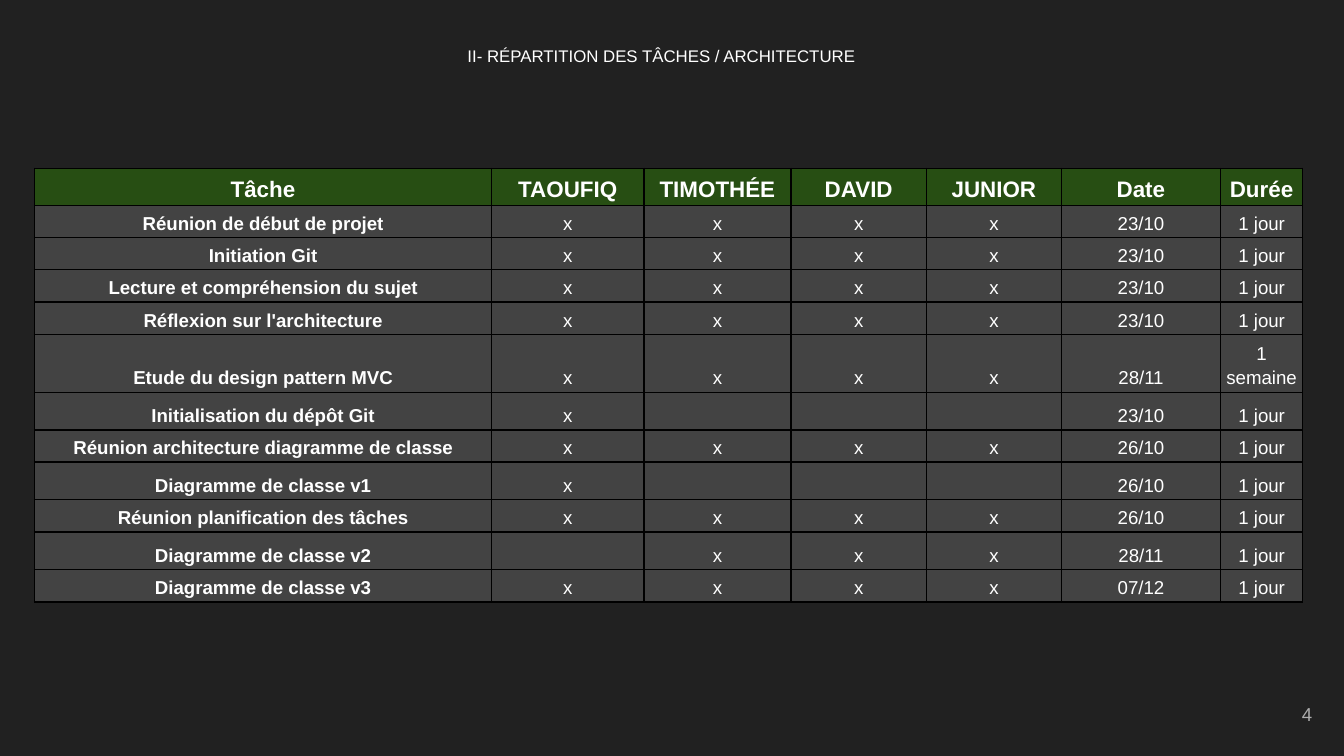
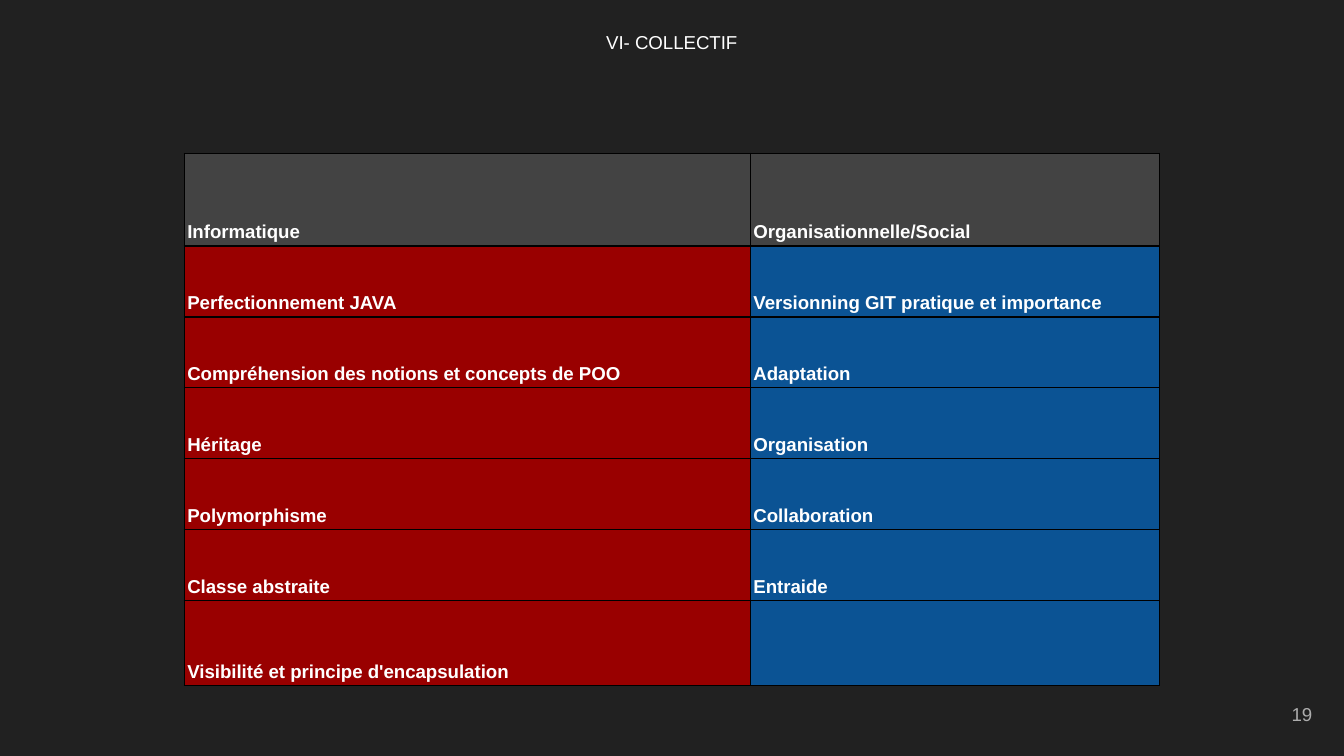
from lxml import etree
from pptx import Presentation
from pptx import util as u
from pptx.dml.color import RGBColor
from pptx.enum import text
from pptx.oxml.ns import qn

COLORS = {
    "background": "212121", "white": "FFFFFF", "number": "ADADAD", "border": "000000",
    "green": "274E13", "gray": "434343", "red": "990000", "blue": "0B5394",
}
FONT = "Arial"
LINE_SPACING = 1.15
CELL_MARGIN = 0.06
TITLE_WIDTH = 23.67
NUMBER_RIGHT = 25.05

TASK_HEADER = ["Tâche", "TAOUFIQ", "TIMOTHÉE", "DAVID", "JUNIOR", "Date", "Durée"]
TASK_WIDTHS = [8.64, 2.88, 2.78, 2.56, 2.55, 3.01, 1.55]
# Each mark stands for one member: x takes part, . does not
TASKS = [
    ("Réunion de début de projet", "xxxx", "23/10", "1 jour"),
    ("Initiation Git", "xxxx", "23/10", "1 jour"),
    ("Lecture et compréhension du sujet", "xxxx", "23/10", "1 jour"),
    ("Réflexion sur l'architecture", "xxxx", "23/10", "1 jour"),
    ("Etude du design pattern MVC", "xxxx", "28/11", "1 semaine"),
    ("Initialisation du dépôt Git", "x...", "23/10", "1 jour"),
    ("Réunion architecture diagramme de classe", "xxxx", "26/10", "1 jour"),
    ("Diagramme de classe v1", "x...", "26/10", "1 jour"),
    ("Réunion planification des tâches", "xxxx", "26/10", "1 jour"),
    ("Diagramme de classe v2", ".xxx", "28/11", "1 jour"),
    ("Diagramme de classe v3", "xxxx", "07/12", "1 jour"),
]

SKILL_WIDTHS = [10.7, 7.74]
SKILL_HEIGHTS = [1.75] + [1.34] * 5 + [1.61]
SKILLS = [
    ("Informatique", "Organisationnelle/Social"),
    ("Perfectionnement JAVA", "Versionning GIT pratique et importance"),
    ("Compréhension des notions et concepts de POO", "Adaptation"),
    ("Héritage", "Organisation"),
    ("Polymorphisme", "Collaboration"),
    ("Classe abstraite", "Entraide"),
    ("Visibilité et principe d'encapsulation", ""),
]


def color(name):
    return RGBColor.from_string(COLORS[name])


def format_text(paragraph, size, color_name, align, bold=False):
    paragraph.alignment = align
    for span in paragraph.runs:
        span.font.name = FONT
        span.font.size = u.Pt(size)
        span.font.bold = bold
        span.font.color.rgb = color(color_name)


def add_text(page, box, words, size, color_name, align):
    shape = page.shapes.add_textbox(*(u.Cm(length) for length in box))
    frame = shape.text_frame
    frame.margin_left = frame.margin_right = u.Cm(0.25)
    frame.margin_top = frame.margin_bottom = u.Cm(0.25)
    frame.text = words
    format_text(frame.paragraphs[0], size, color_name, align)
    return frame


def add_title(page, left, top, height, words, size):
    frame = add_text(page, (left, top, TITLE_WIDTH, height), words, size,
                     "white", text.PP_ALIGN.CENTER)
    frame.word_wrap = True
    frame.paragraphs[0].line_spacing = LINE_SPACING


def add_page_number(page, number):
    width = 0.54 + 0.2 * len(number)
    frame = add_text(page, (NUMBER_RIGHT - width, 13.06, width, 0.89), number, 10,
                     "number", text.PP_ALIGN.RIGHT)
    frame.word_wrap = False
    frame.vertical_anchor = text.MSO_ANCHOR.MIDDLE


def add_page(deck, number):
    page = deck.slides.add_slide(deck.slide_layouts[6])
    page.background.fill.solid()
    page.background.fill.fore_color.rgb = color("background")
    add_page_number(page, number)
    return page


def add_borders(cell):
    properties = cell._tc.get_or_add_tcPr()
    for side in ("lnL", "lnR", "lnT", "lnB"):
        line = etree.SubElement(properties, qn(f"a:{side}"), w=str(u.Pt(0.75)))
        fill = etree.SubElement(line, qn("a:solidFill"))
        etree.SubElement(fill, qn("a:srgbClr"), val=COLORS["border"])


def fill_cell(cell, words, size, bold, fill_name, align):
    cell.margin_left = cell.margin_right = u.Cm(CELL_MARGIN)
    cell.margin_top = cell.margin_bottom = u.Cm(CELL_MARGIN)
    cell.vertical_anchor = text.MSO_ANCHOR.BOTTOM
    add_borders(cell)
    cell.fill.solid()
    cell.fill.fore_color.rgb = color(fill_name)
    paragraph = cell.text_frame.paragraphs[0]
    if words:
        paragraph.text = words
        paragraph.line_spacing = LINE_SPACING
        format_text(paragraph, size, "white", align, bold)
    else:
        # The height of an empty cell follows its end mark
        etree.SubElement(paragraph._p, qn("a:endParaRPr"), sz="1400")


def add_grid(page, left, top, widths, heights, rows, style, align):
    """Draw rows of text; style(row, column) gives size, bold and fill."""
    frame = page.shapes.add_table(
        len(rows), len(widths), u.Cm(left), u.Cm(top),
        u.Cm(sum(widths)), u.Cm(sum(heights)))
    table = frame.table
    for column, width in zip(table.columns, widths):
        column.width = u.Cm(width)
    for row, height in zip(table.rows, heights):
        row.height = u.Cm(height)
    for r, row in enumerate(rows):
        for c, words in enumerate(row):
            fill_cell(table.cell(r, c), words, *style(r, c), align)


def task_style(row, column):
    if row == 0:
        return 12, True, "green"
    return 10, column == 0, "gray"


def skill_style(row, column):
    return 10, True, "gray" if row == 0 else ("red", "blue")[column]


# Who does what, and when
def build_tasks(deck):
    page = add_page(deck, "4")
    add_title(page, 0.66, 0.58, 1.47, "II- RÉPARTITION DES TÂCHES / ARCHITECTURE", 9)
    rows = [TASK_HEADER]
    for task, marks, date, duration in TASKS:
        rows.append([task, *(mark.strip(".") for mark in marks), date, duration])
    heights = [0.64] + [0.56] * len(TASKS)
    add_grid(page, 0.65, 3.18, TASK_WIDTHS, heights, rows, task_style,
             text.PP_ALIGN.CENTER)


# What the team learned
def build_skills(deck):
    page = add_page(deck, "19")
    add_title(page, 0.86, 0.28, 1.6, "VI- COLLECTIF", 10)
    add_grid(page, 3.48, 2.9, SKILL_WIDTHS, SKILL_HEIGHTS, SKILLS, skill_style,
             text.PP_ALIGN.LEFT)


def main():
    deck = Presentation()
    deck.slide_width = u.Cm(25.4)
    deck.slide_height = u.Cm(14.29)
    build_tasks(deck)
    build_skills(deck)
    deck.save("out.pptx")


if __name__ == "__main__":
    main()
